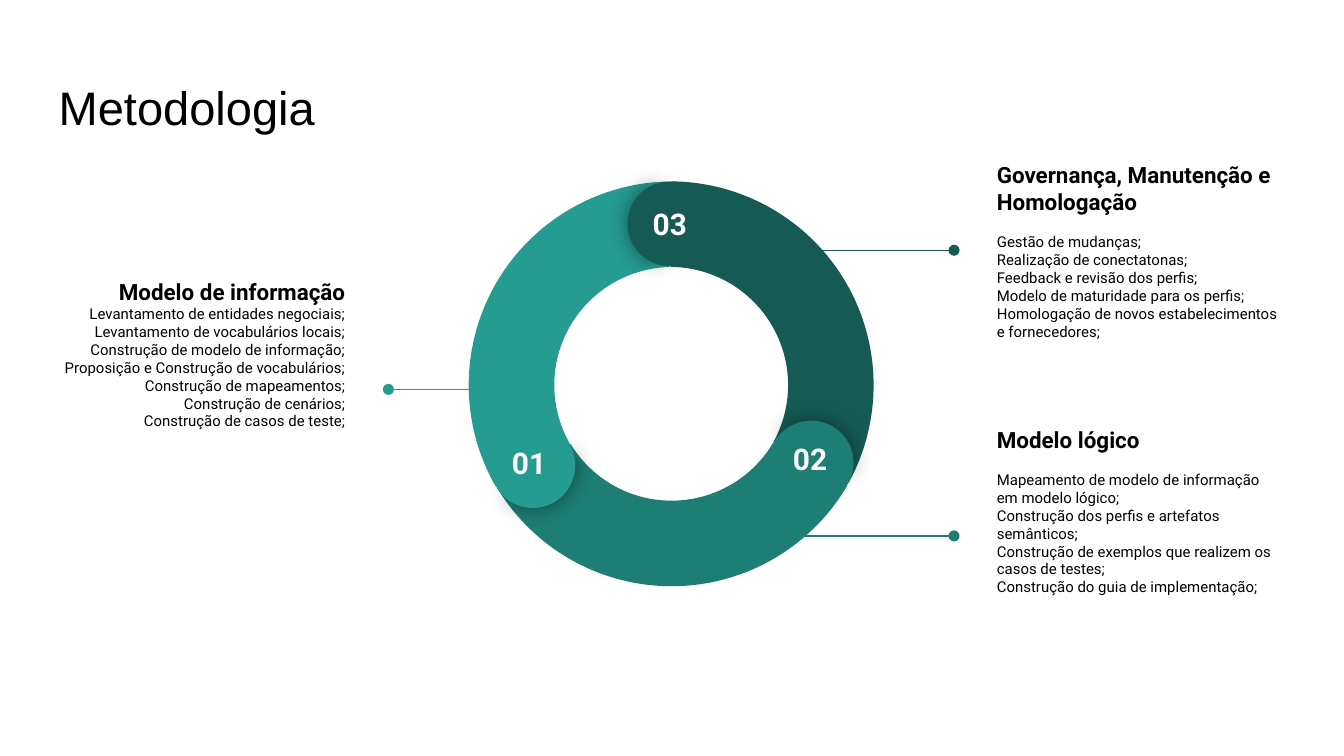
from dataclasses import dataclass

from lxml import etree
from pptx import Presentation
from pptx.dml.color import RGBColor
from pptx.enum import shapes, text
from pptx.oxml import ns
from pptx.util import Cm, Pt

COLORS = {
    "text": "000000",
    "label": "FFFFFF",
    "information": "249C90",
    "logical": "1D7E74",
    "governance": "155B54",
}
RING_SIZE = 7.7
CAP_SIZE = 1.6


@dataclass
class Stage:
    number: str
    color: str
    heading: str
    items: list
    body_at: tuple
    align: text.PP_ALIGN
    item_gap: float
    line: tuple
    arc_at: tuple
    rotation: int
    cap_at: tuple
    label_at: tuple


STAGES = [
    Stage(
        "03", "governance", "Governança, Manutenção e Homologação",
        ["Gestão de mudanças;",
         "Realização de conectatonas;",
         "Feedback e revisão dos perfis;",
         "Modelo de maturidade para os perfis;",
         "Homologação de novos estabelecimentos e fornecedores;"],
        (18.59, 2.95), text.PP_ALIGN.LEFT, 9.4, (14.48, 18.03, 4.73),
        (8.81, 3.43), 60, (11.86, 3.43), (11.95, 3.63)),
    Stage(
        "02", "logical", "Modelo lógico",
        ["Mapeamento de modelo de informação em modelo lógico;",
         "Construção dos perfis e artefatos semânticos;",
         "Construção de exemplos que realizem os casos de testes;",
         "Construção do guia de implementação;"],
        (18.59, 7.87), text.PP_ALIGN.LEFT, 9.4, (14.48, 18.03, 10.13),
        (8.84, 3.38), 180, (14.53, 7.95), (14.6, 8.08)),
    Stage(
        "01", "information", "Modelo de informação",
        ["Levantamento de entidades negociais;",
         "Levantamento de vocabulários locais;",
         "Construção de modelo de informação;",
         "Proposição e Construção de vocabulários;",
         "Construção de mapeamentos;",
         "Construção de cenários;",
         "Construção de casos de teste;"],
        (0.89, 4.9), text.PP_ALIGN.RIGHT, 0, (9.09, 7.34, 7.36),
        (8.86, 3.43), 300, (9.27, 8.0), (9.29, 8.15)),
]


def rgb(name):
    return RGBColor.from_string(COLORS[name])


def add_text(slide, at, size, lines, color="text", font="Roboto",
             align=text.PP_ALIGN.LEFT, anchor=text.MSO_ANCHOR.TOP):
    box = slide.shapes.add_textbox(*map(Cm, at + size))
    frame = box.text_frame
    frame.word_wrap = True
    frame.vertical_anchor = anchor
    frame.margin_left = frame.margin_right = Cm(0.25)
    frame.margin_top = frame.margin_bottom = Cm(0.25)
    for index, (words, points, bold, gap) in enumerate(lines):
        paragraph = frame.paragraphs[0] if index == 0 else frame.add_paragraph()
        paragraph.text = words
        paragraph.alignment = align
        paragraph.space_before = Pt(gap)
        paragraph.font.name = font
        paragraph.font.size = Pt(points)
        paragraph.font.bold = bold
        paragraph.font.color.rgb = rgb(color)


def add_description(slide, stage):
    lines = [(stage.heading, 12, True, 0)]
    for index, item in enumerate(stage.items):
        lines.append((item, 8, False, stage.item_gap if index == 0 else 0))
    add_text(slide, stage.body_at, (5.89, 3.58), lines,
             align=stage.align, anchor=text.MSO_ANCHOR.MIDDLE)


def add_pointer(slide, stage):
    start, end, y = stage.line
    connector = slide.shapes.add_connector(
        shapes.MSO_CONNECTOR.STRAIGHT, Cm(start), Cm(y), Cm(end), Cm(y))
    connector.line.color.rgb = rgb(stage.color)
    connector.line.width = Pt(0.75)
    tail = etree.SubElement(connector.line._get_or_add_ln(), ns.qn("a:tailEnd"))
    tail.set("type", "oval")
    etree.SubElement(connector._element.spPr, ns.qn("a:effectLst"))


def add_ring_part(slide, kind, at, size, rotation, adjustments, color):
    shape = slide.shapes.add_shape(kind, *map(Cm, at + (size, size)))
    shape.rotation = rotation % 360
    for index, value in enumerate(adjustments):
        shape.adjustments[index] = value
    shape.fill.solid()
    shape.fill.fore_color.rgb = rgb(color)
    shape.line.fill.background()
    shape.shadow.inherit = False
    return shape


def add_glow(shape):
    effects = shape._element.spPr.find(ns.qn("a:effectLst"))
    shadow = etree.SubElement(effects, ns.qn("a:outerShdw"), blurRad=str(Pt(11.2)),
                              dist="0", algn="ctr", rotWithShape="0")
    color = etree.SubElement(shadow, ns.qn("a:srgbClr"), val=COLORS["text"])
    etree.SubElement(color, ns.qn("a:alpha"), val="43000")


def add_arc(slide, stage):
    add_ring_part(slide, shapes.MSO_SHAPE.BLOCK_ARC, stage.arc_at, RING_SIZE,
                  stage.rotation, (126.23, 197.2, 0.21), stage.color)


def add_cap(slide, stage):
    pie = shapes.MSO_SHAPE.PIE
    outer = add_ring_part(slide, pie, stage.cap_at, CAP_SIZE,
                          stage.rotation + 300.6, (61.9, 149.96), stage.color)
    add_glow(outer)
    add_ring_part(slide, pie, stage.cap_at, CAP_SIZE,
                  stage.rotation + 120, (40.28, 171.84), stage.color)


def add_number(slide, stage):
    add_text(slide, stage.label_at, (1.42, 0.74), [(stage.number, 16, True, 0)],
             color="label", align=text.PP_ALIGN.CENTER)


def main():
    presentation = Presentation()
    presentation.slide_width = Cm(25.4)
    presentation.slide_height = Cm(14.29)
    slide = presentation.slides.add_slide(presentation.slide_layouts[6])
    add_text(slide, (0.86, 1.24), (23.67, 1.6),
             [("Metodologia", 25.2, False, 0)], font="Arial")
    for add_layer in (add_description, add_pointer, add_arc, add_cap, add_number):
        for stage in STAGES:
            add_layer(slide, stage)
    presentation.save("out.pptx")


if __name__ == "__main__":
    main()
